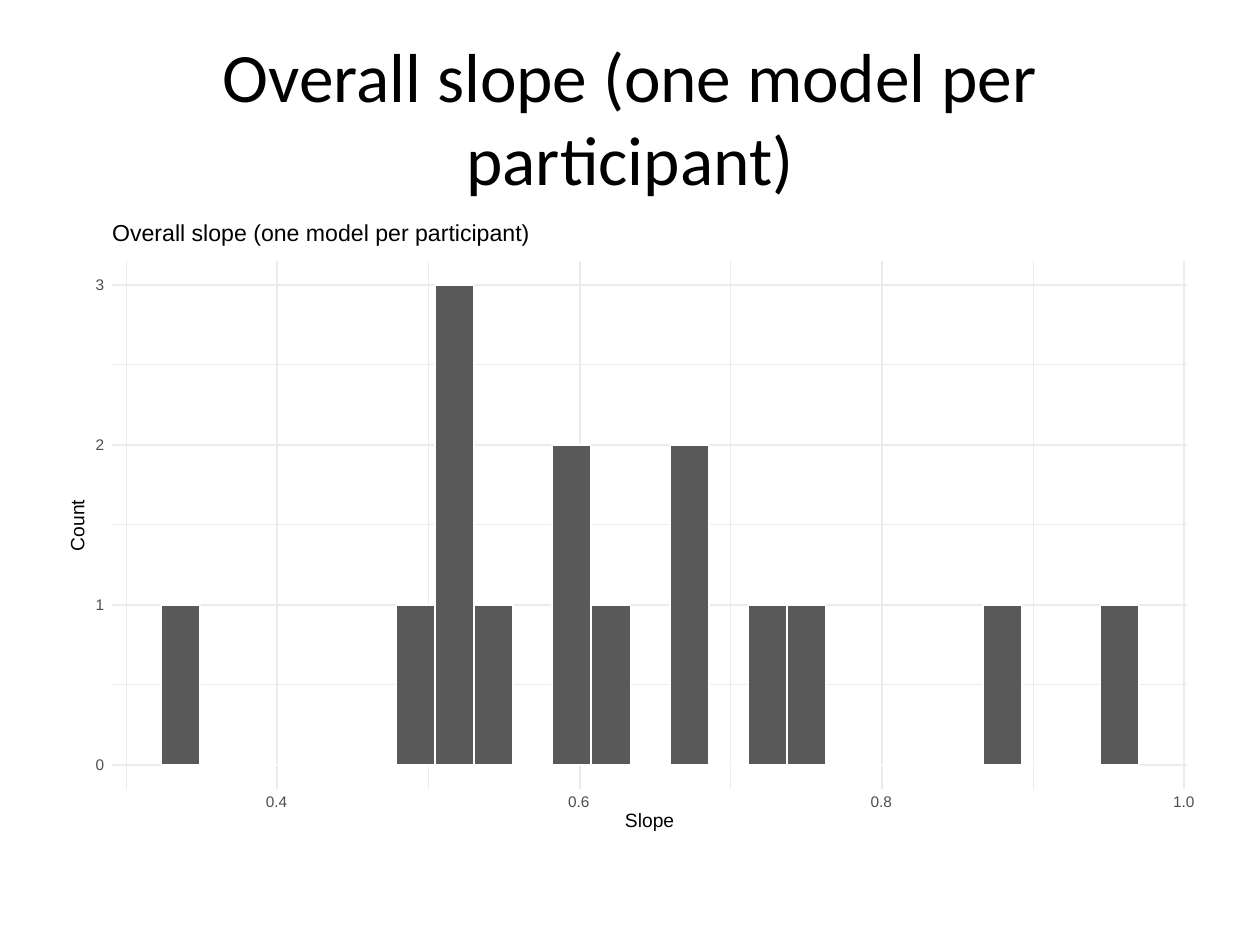
from lxml import etree
from pptx import Presentation
from pptx.dml.color import RGBColor
from pptx.enum.shapes import MSO_CONNECTOR, MSO_SHAPE
from pptx.enum.text import MSO_ANCHOR, PP_ALIGN
from pptx.oxml.ns import qn
from pptx.util import Inches, Pt

RECT = MSO_SHAPE.RECTANGLE
LINE = MSO_CONNECTOR.STRAIGHT
MIDDLE = MSO_ANCHOR.MIDDLE
CENTER = PP_ALIGN.CENTER

THEME = {
    "head": {"name": "Calibri", "size": Pt(39.6), "color": "000000"},
    "title": {"name": "Arial", "size": Pt(13.2), "color": "000000"},
    "axis": {"name": "Arial", "size": Pt(11), "color": "000000"},
    "tick": {"name": "Arial", "size": Pt(8.8), "color": "4D4D4D"},
    "paper": "FFFFFF", "grid": "EBEBEB", "bar": "595959",
    "thin": Pt(0.53), "thick": Pt(1.07), "frame": Pt(0.75),
}

# Plot area and scales, in inches
LEFT, RIGHT, TOP, BASE = 0.89, 9.42, 2.07, 6.26
ZERO, UNIT = 6.07, 1.27          # place of count 0, height of one count
START, STEP = 1, 1.2             # place of slope 0.3, width of 0.1
FIRST, BIN = 1.28, 7.45 / 24     # left of the first bin, bin width
COUNTS = [1, 0, 0, 0, 0, 0, 1, 3, 1, 0, 2, 1, 0,
          2, 0, 1, 1, 0, 0, 0, 0, 1, 0, 0, 1]

prs = Presentation()
prs.slide_width, prs.slide_height = Inches(10), Inches(7.5)
slide = prs.slides.add_slide(prs.slide_layouts[5])


def style(run, look):
    for key, value in look.items():
        if key == "color":
            run.font.color.rgb = RGBColor.from_string(value)
        else:
            setattr(run.font, key, value)


def label(text, box, look, turn=0):
    item = plot.add_textbox(*map(Inches, box))
    item.rotation = turn
    frame = item.text_frame
    form = {"margin_left": 0, "margin_right": 0, "margin_top": 0,
            "margin_bottom": 0, "word_wrap": False, "vertical_anchor": MIDDLE}
    for key, value in form.items():
        setattr(frame, key, value)
    para = frame.paragraphs[0]
    para.line_spacing = look["size"]
    run = para.add_run()
    run.text = text
    style(run, look)


# Slide title
head = slide.shapes.title
place = {"left": 0.5, "top": 0.3, "width": 9, "height": 1.25}
for key, value in place.items():
    setattr(head, key, Inches(value))
head.text_frame.vertical_anchor = MIDDLE
para = head.text_frame.paragraphs[0]
para.alignment = CENTER
run = para.add_run()
run.text = "Overall slope (one model per participant)"
style(run, THEME["head"])

plot = slide.shapes.add_group_shape().shapes

# Background and histogram bars: box, fill, line width
rects = [((0.5, 1.75, 9, 4.95), THEME["paper"], THEME["frame"])]
for i, count in enumerate(COUNTS):
    box = (FIRST + i * BIN, ZERO - count * UNIT, BIN, count * UNIT)
    rects.append((box, THEME["bar"], THEME["thick"]))

# Grid: minor lines first, then major ones
grid = []
for n in range(6, -1, -1):
    y = ZERO - n * UNIT / 2
    grid.append((n % 2 == 0, (LEFT, y, RIGHT, y)))
for n in range(8):
    x = START + n * STEP
    grid.append((n % 2 == 1, (x, BASE, x, TOP)))
grid.sort(key=lambda row: row[0])

for i, (box, fill, width) in enumerate(rects):
    rect = plot.add_shape(RECT, *map(Inches, box))
    rect.shadow.inherit = False
    rect.fill.solid()
    rect.fill.fore_color.rgb = RGBColor.from_string(fill)
    rect.line.color.rgb = RGBColor.from_string(THEME["paper"])
    rect.line.width = width
    if i == 0:  # the grid lies between the background and the bars
        for major, ends in grid:
            rule = plot.add_connector(LINE, *map(Inches, ends))
            rule.line.color.rgb = RGBColor.from_string(THEME["grid"])
            rule.line.width = THEME["thick" if major else "thin"]
            etree.SubElement(rule._element.spPr, qn("a:effectLst"))

# Tick labels
for n in range(4):
    label(str(n), (0.76, ZERO - n * UNIT - 0.04, 0.07, 0.09), THEME["tick"])
for n in range(1, 8, 2):
    x = START + n * STEP
    label(f"{0.3 + n / 10:.1f}", (x - 0.09, 6.33, 0.18, 0.09), THEME["tick"])

# Axis names and plot title, with room to stay on one line
label("Slope", (4.96, 6.45, 0.45, 0.14), THEME["axis"])
label("Count", (0.41, 4.1, 0.43, 0.12), THEME["axis"], 270)
label("Overall slope (one model per participant)",
      (LEFT, 1.78, 3.5, 0.17), THEME["title"])

prs.save("out.pptx")
